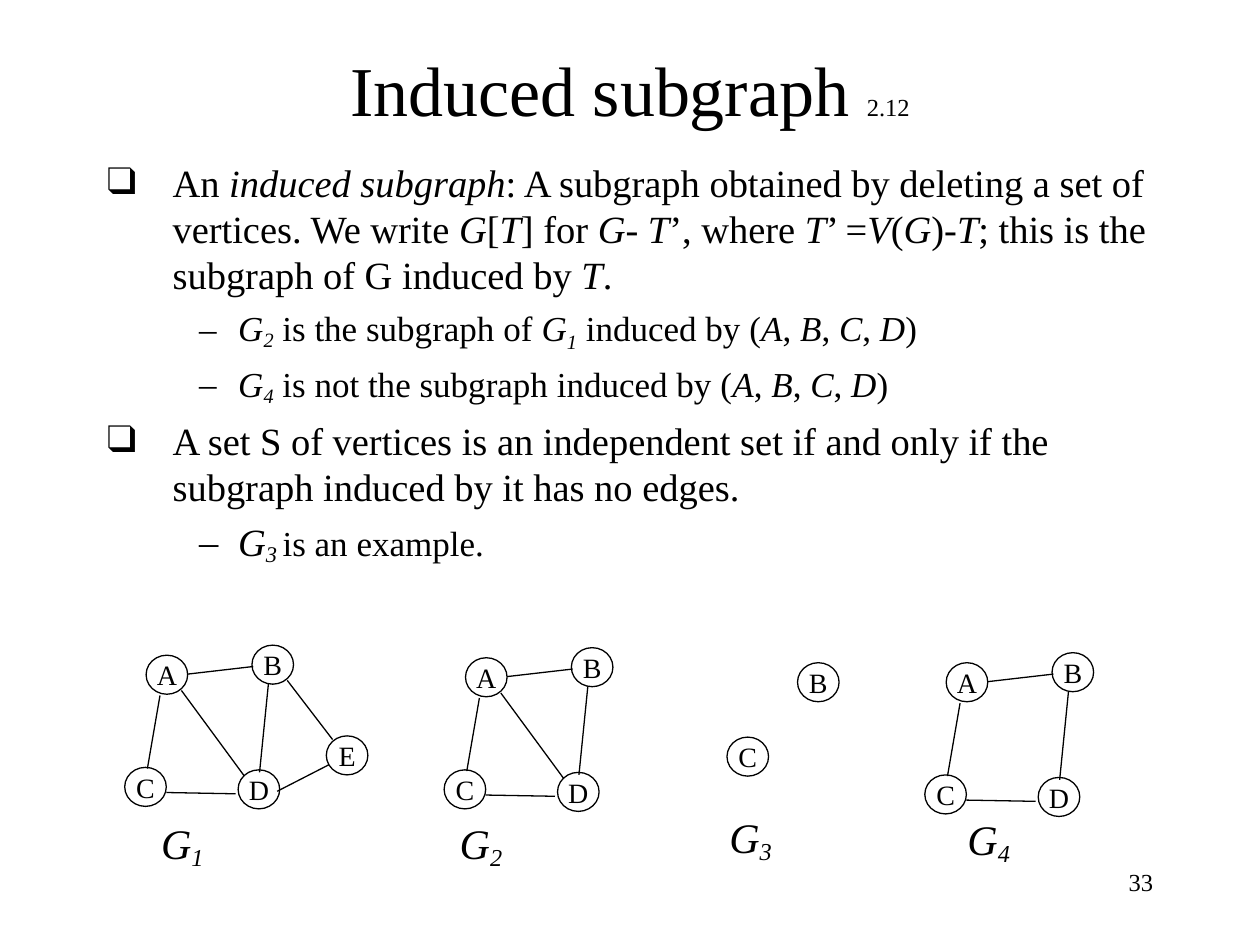
from lxml import etree
from pptx import Presentation
from pptx import util as u
from pptx.dml.color import RGBColor
from pptx.enum import shapes, text
from pptx.oxml import ns

# Grid of 100 columns by 75 rows; every box is (column, row, columns, rows)
COLUMNS, ROWS = 100, 75
CELL = u.Inches(0.1)
FONT, INK = "Times New Roman", "000000"
NODE_WIDTH, NODE_HEIGHT = 3.3, 3.1

# Nodes and edges of the full graph, relative to its top left corner
NODES = {"A": (1.7, 0.8), "B": (10.1, 0), "C": (0, 9.7), "D": (9, 9.9), "E": (16, 7.2)}
EDGES = {
    "AC": (2.8, 4, 1.8, 9.8),
    "AB": (5, 2.3, 10.2, 1.7),
    "CD": (3.3, 11.7, 8.8, 11.8),
    "DE": (12.1, 11.6, 16.2, 9.5),
    "BE": (12.9, 2.8, 16.5, 7.5),
    "AD": (4.5, 3.6, 9.5, 10.4),
    "BD": (11.4, 3.1, 10.7, 10.1),
}
SQUARE = {name: NODES[name] for name in "ABCD"}

# Graph number, origin, label position, nodes, edges
GRAPHS = [
    (1, (9.9, 51.2), (11.8, 64.4), NODES, list(EDGES)),
    (2, (35.25, 51.4), (35.5, 64.4), SQUARE, ["AC", "AB", "CD", "AD", "BD"]),
    (3, (57.7, 52.6), (56.9, 63.9), {"B": (5.6, 0), "C": (0, 5.9)}, []),
    (4, (73.4, 51.8), (75.8, 64.1), SQUARE, ["AC", "AB", "CD", "BD"]),
]

# Level, text (*italic*, with a subscript after _), subscript depths, italic size
POINTS = [
    (0, "An *induced subgraph*: A subgraph obtained by deleting a set of vertices. "
        "We write *G*[*T*] for *G*- *T*’, where *T*’ =*V*(*G*)-*T*; "
        "this is the subgraph of G induced by *T*.", [], None),
    (1, "*G_2* is the subgraph of *G_1* induced by (*A*, *B*, *C*, *D*)", [18, 25], None),
    (1, "*G_4* is not the subgraph induced by (*A*, *B*, *C*, *D*)", [16], None),
    (0, "A set S of vertices is an independent set if and only if the subgraph "
        "induced by it has no edges.", [], None),
    (1, "*G_3 *is an example.", [16], 22),
]
# Size, space before, left margin, first line indent, bullet
LEVELS = [(22, 5.5, 0.52, -0.52, "❑"), (20, 5, 1.04, -0.31, "–")]


def grid(*cells):
    return [round(cell * CELL) for cell in cells]


def colour(value):
    return RGBColor.from_string(value)


def style(para, size, align=text.PP_ALIGN.LEFT):
    para.alignment = align
    para.font.name, para.font.size = FONT, u.Pt(size)
    para.font.color.rgb = colour(INK)


def add_spans(para, marked, depths, italic_size=None):
    depths = iter(depths)
    for index, part in enumerate(marked.split("*")):
        for place, piece in enumerate(part.split("_")):
            if not piece:
                continue
            span = para.add_run()
            span.text = piece
            if index % 2:
                span.font.italic = True
                if italic_size:
                    span.font.size = u.Pt(italic_size)
            if place:
                span.font._element.set("baseline", str(-1000 * next(depths)))


def set_box(shape, box):
    shape.left, shape.top, shape.width, shape.height = grid(*box)


def add_title(page, box):
    title = page.shapes.title
    set_box(title, box)
    title.text_frame.vertical_anchor = text.MSO_ANCHOR.MIDDLE
    para = title.text_frame.paragraphs[0]
    para.add_run().text = "Induced subgraph "
    number = para.add_run()
    number.text = "2.12"
    number.font.size = u.Pt(14)
    style(para, 40, text.PP_ALIGN.CENTER)


def add_bullet(para, mark, margin, indent):
    properties = para._p.get_or_add_pPr()
    properties.set("marL", str(u.Inches(margin)))
    properties.set("indent", str(u.Inches(indent)))
    for tag, key, value in (("a:buFont", "typeface", FONT), ("a:buChar", "char", mark)):
        etree.SubElement(properties, ns.qn(tag)).set(key, value)


def add_points(page, box):
    body = page.placeholders[1]
    set_box(body, box)
    frame = body.text_frame
    frame.auto_size = text.MSO_AUTO_SIZE.NONE
    for index, (level, marked, depths, italic_size) in enumerate(POINTS):
        para = frame.add_paragraph() if index else frame.paragraphs[0]
        size, before, margin, indent, mark = LEVELS[level]
        para.level = level
        para.space_before = u.Pt(before if index else 0)
        add_bullet(para, mark, margin, indent)
        add_spans(para, marked, depths, italic_size)
        style(para, size)


def add_text(page, box, marked, size, depths=(), align=text.PP_ALIGN.LEFT):
    frame = page.shapes.add_textbox(*grid(*box)).text_frame
    frame.word_wrap = True
    add_spans(frame.paragraphs[0], marked, depths)
    style(frame.paragraphs[0], size, align)


def add_node(page, box, name):
    node = page.shapes.add_shape(shapes.MSO_SHAPE.OVAL, *grid(*box))
    node.shadow.inherit = False
    node.fill.background()
    node.line.color.rgb, node.line.width = colour(INK), u.Pt(0.75)
    frame = node.text_frame
    frame.margin_left = frame.margin_right = frame.margin_top = frame.margin_bottom = 0
    frame.word_wrap = False
    frame.vertical_anchor = text.MSO_ANCHOR.MIDDLE
    frame.text = name
    style(frame.paragraphs[0], 16, text.PP_ALIGN.CENTER)


def add_edge(page, ends):
    edge = page.shapes.add_connector(shapes.MSO_CONNECTOR.STRAIGHT, *grid(*ends))
    edge.line.color.rgb, edge.line.width = colour(INK), u.Pt(0.75)
    etree.SubElement(edge._element.spPr, ns.qn("a:effectLst"))


def add_graph(page, origin, nodes, edges):
    left, top = origin
    for name in edges:
        x1, y1, x2, y2 = EDGES[name]
        add_edge(page, (left + x1, top + y1, left + x2, top + y2))
    for name, (x, y) in nodes.items():
        add_node(page, (left + x, top + y, NODE_WIDTH, NODE_HEIGHT), name)


def main():
    deck = Presentation()
    deck.slide_width, deck.slide_height = grid(COLUMNS, ROWS)
    page = deck.slides.add_slide(deck.slide_layouts[1])

    # Title and list
    add_title(page, (7.5, 2.2, 85, 9.7))
    add_points(page, (7.5, 12.1, 85.5, 35.7))

    # Graphs with their labels
    for number, origin, label, nodes, edges in GRAPHS:
        add_graph(page, origin, nodes, edges)
        add_text(page, (*label, 11.8, 5.3), f"*G_{number}*", 24, [16])

    # Page number
    add_text(page, (71.7, 68.3, 20.8, 5), "33", 14, align=text.PP_ALIGN.RIGHT)
    deck.save("out.pptx")


if __name__ == "__main__":
    main()
